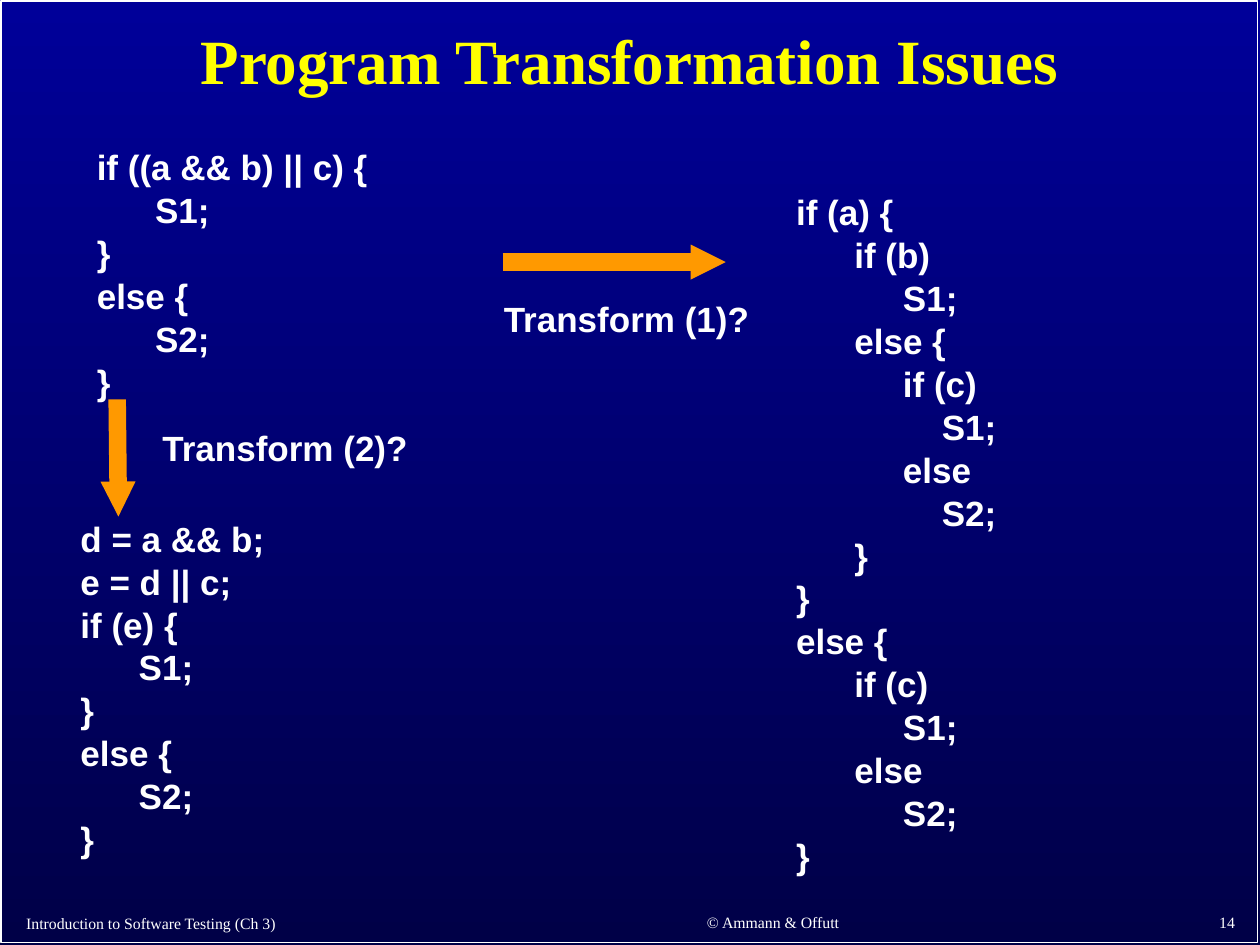
from pptx import Presentation
from pptx.dml.color import RGBColor
from pptx.enum import shapes as es, text as et
from pptx.oxml import parse_xml
from pptx.oxml.ns import nsdecls
from pptx.util import Inches, Pt

WHITE = RGBColor(0xFF, 0xFF, 0xFF)
YELLOW = RGBColor(0xFF, 0xFF, 0x00)
ORANGE = RGBColor(0xFF, 0x99, 0x00)
BLUE = RGBColor(0x00, 0x00, 0x99)
NAVY = RGBColor(0x00, 0x00, 0x47)
LEFT, MID, RIGHT = et.PP_ALIGN.LEFT, et.PP_ALIGN.CENTER, et.PP_ALIGN.RIGHT
TOP, CENTER, BOTTOM = et.MSO_ANCHOR.TOP, et.MSO_ANCHOR.MIDDLE, et.MSO_ANCHOR.BOTTOM

deck = Presentation()
deck.slide_width, deck.slide_height = Inches(10), Inches(7.5)
slide = deck.slides.add_slide(deck.slide_layouts[5])

fill = slide.background.fill
fill.gradient()
fill.gradient_angle = 270
for stop, tone in zip(fill.gradient_stops, (BLUE, NAVY)):
    stop.color.rgb = tone


def write(words, at, box=None, font="Arial", size=20, color=WHITE, bold=True,
          align=LEFT, anchor=TOP, line=0.5, gap=12.5):
    area = [Inches(n) for n in at]
    box = box or slide.shapes.add_textbox(*area)
    box.left, box.top, box.width, box.height = area
    frame = box.text_frame
    frame.word_wrap = True
    frame.auto_size = et.MSO_AUTO_SIZE.NONE
    frame.vertical_anchor = anchor
    frame.text = words
    for i, para in enumerate(frame.paragraphs):
        para.alignment = align
        para.line_spacing = line
        para.space_before = Pt(gap if i else 0)
        for run in para.runs:
            run.font.name, run.font.size = font, Pt(size)
            run.font.bold, run.font.color.rgb = bold, color


edge = slide.shapes.add_shape(es.MSO_SHAPE.RECTANGLE, Inches(0.01), Inches(0.01),
                              Inches(9.97), Inches(7.47))
edge.shadow.inherit = False
edge.fill.background()
edge.line.color.rgb = WHITE
edge.line.width = Pt(1)

write("Program Transformation Issues", (0.11, 0.08, 9.77, 0.86), box=slide.shapes.title,
      font="Times New Roman", size=36, color=YELLOW, align=MID, anchor=CENTER, line=0.9)

for words, at, align in (
    ("Introduction to Software Testing (Ch 3)", (0.11, 7.21, 4.26, 0.24), LEFT),
    ("© Ammann & Offutt", (4.55, 7.19, 3.17, 0.25), MID),
    ("14", (7.82, 7.2, 2.08, 0.24), RIGHT),
):
    write(words, at, font="Times New Roman", size=9, bold=False,
          align=align, anchor=BOTTOM, line=1.0)

start = """if ((a && b) || c) {
      S1;
}
else {
      S2;
}"""
nested = """if (a) {
      if (b)
           S1;
      else {
           if (c)
               S1;
           else
               S2;
      }
}
else {
      if (c)
           S1;
      else
           S2;
}"""
flat = """d = a && b;
e = d || c;
if (e) {
      S1;
}
else {
      S2;
}"""
for words, at in (
    (start, (0.67, 1.25, 3.03, 1.96)),
    (nested, (6.22, 1.61, 3.03, 5.37)),
    ("Transform (1)?", (3.9, 2.46, 2.16, 0.27)),
    ("Transform (2)?", (1.19, 3.48, 2.27, 0.27)),
    (flat, (0.54, 4.2, 3.04, 2.65)),
):
    write(words, at)

for ends in ((3.99, 2.08, 5.76, 2.08), (0.93, 3.17, 0.94, 4.1)):
    arrow = slide.shapes.add_connector(es.MSO_CONNECTOR.STRAIGHT, *[Inches(n) for n in ends])
    arrow.line.color.rgb = ORANGE
    arrow.line.width = Pt(10)
    arrow.line._get_or_add_ln().append(
        parse_xml(f'<a:tailEnd {nsdecls("a")} type="triangle" w="sm" len="sm"/>'))
    arrow._element.spPr.append(parse_xml(f'<a:effectLst {nsdecls("a")}/>'))

deck.save("out.pptx")
